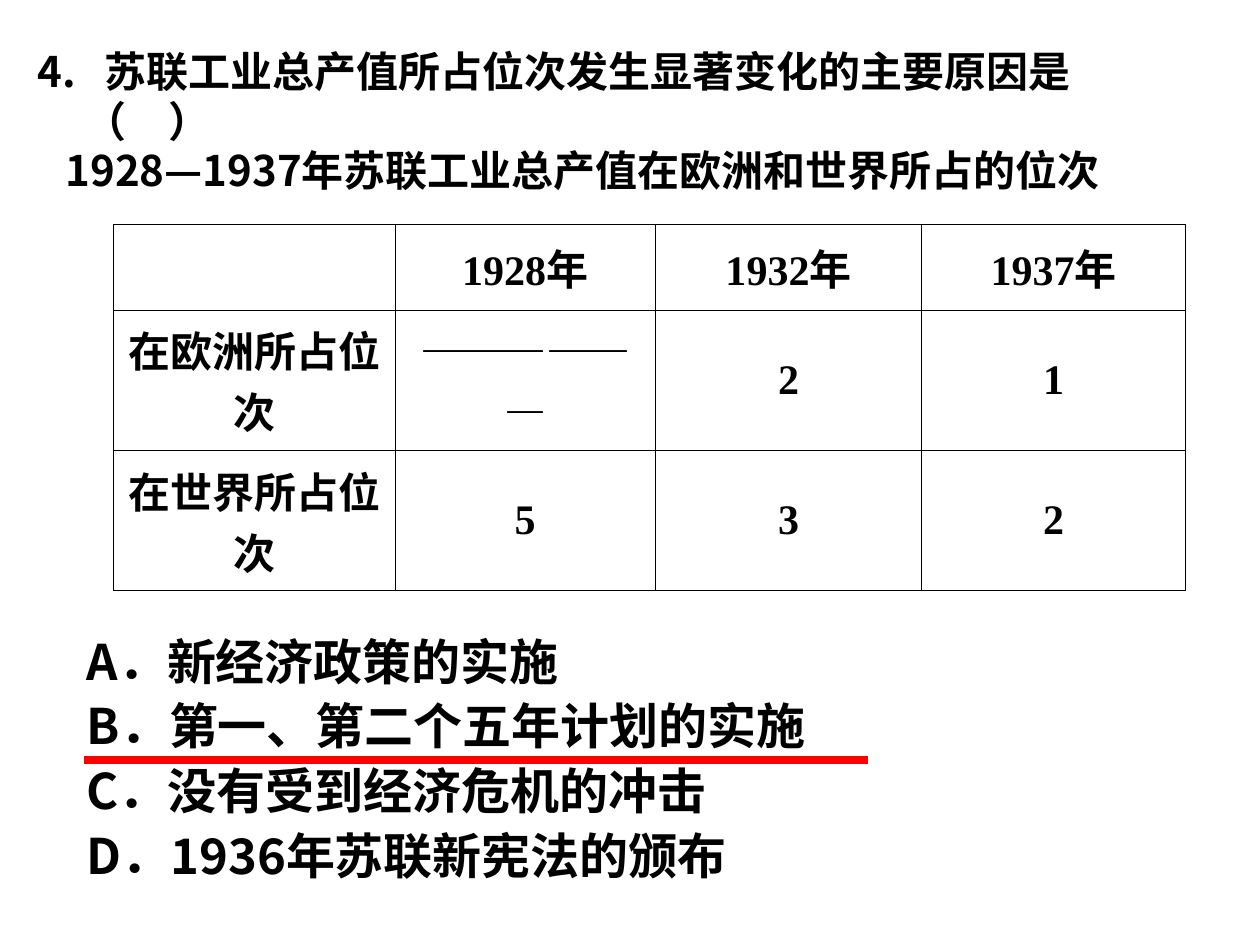
from dataclasses import dataclass

from lxml import etree
from pptx import Presentation
from pptx.dml.color import RGBColor
from pptx.enum.shapes import MSO_CONNECTOR
from pptx.enum.text import MSO_ANCHOR, PP_ALIGN
from pptx.oxml.ns import qn
from pptx.util import Pt

STRAIGHT = MSO_CONNECTOR.STRAIGHT
TOP, MIDDLE = MSO_ANCHOR.TOP, MSO_ANCHOR.MIDDLE
LEFT, CENTER = PP_ALIGN.LEFT, PP_ALIGN.CENTER


@dataclass(frozen=True)
class Theme:
    ink: RGBColor = RGBColor(0, 0, 0)
    answer: RGBColor = RGBColor(255, 0, 0)
    body_size: float = 24
    option_size: float = 28
    sans: str = "Noto Sans CJK SC"
    serif: str = "Times New Roman"


THEME = Theme()


def write(paragraph, text, size=THEME.body_size, font=THEME.sans, align=LEFT,
          pitch=None, indent=0, hanging=0):
    """Fill a paragraph; pitch is the exact line height in points."""
    paragraph.alignment = align
    if pitch:
        paragraph.line_spacing = Pt(pitch)
    if indent:
        properties = paragraph._p.get_or_add_pPr()
        properties.set("marL", str(Pt(indent)))
        properties.set("indent", str(Pt(-hanging)))
    run = paragraph.add_run()
    run.text = text
    run.font.size = Pt(size)
    run.font.bold = True
    run.font.name = font
    run.font.color.rgb = THEME.ink
    east_asian = etree.SubElement(run._r.get_or_add_rPr(), qn("a:ea"))
    east_asian.set("typeface", THEME.sans)


def add_frame(left, top, width, height):
    frame = slide.shapes.add_textbox(Pt(left), Pt(top), Pt(width), Pt(height)).text_frame
    frame.word_wrap = True
    frame.vertical_anchor = TOP
    return frame


prs = Presentation()
prs.slide_width, prs.slide_height = Pt(720), Pt(540)
slide = prs.slides.add_slide(prs.slide_layouts[6])

# Question and table caption
question = add_frame(14.4, 23, 663, 93.6)
question_lines = [
    ("4.\t苏联工业总产值所占位次发生显著变化的主要原因是", 38, 38),
    ("（　）", 27, 0),
    ("1928—1937年苏联工业总产值在欧洲和世界所占的位次", 16, 0),
]
for i, (text, indent, hanging) in enumerate(question_lines):
    paragraph = question.add_paragraph() if i else question.paragraphs[0]
    write(paragraph, text, pitch=28.3, indent=indent, hanging=hanging)

# Ranking table
rankings = [
    ["", "1928年", "1932年", "1937年"],
    ["在欧洲所占位次", "――――――", "2", "1"],
    ["在世界所占位次", "5", "3", "2"],
]
column_widths = [160.6, 149, 152, 151]
row_heights = [49, 80.3, 80.3]
last_row, last_column = len(row_heights) - 1, len(column_widths) - 1
table = slide.shapes.add_table(
    len(row_heights), len(column_widths), Pt(65), Pt(128),
    Pt(sum(column_widths)), Pt(sum(row_heights))).table
table.first_row = table.horz_banding = False
for column, width in zip(table.columns, column_widths):
    column.width = Pt(width)
for row, height in zip(table.rows, row_heights):
    row.height = Pt(height)

for r, values in enumerate(rankings):
    for c, value in enumerate(values):
        cell = table.cell(r, c)
        cell.vertical_anchor = MIDDLE
        if value:
            font = THEME.sans if value.startswith("―") else THEME.serif
            write(cell.text_frame.paragraphs[0], value, font=font, align=CENTER)
        outer_edges = {"lnL": c == 0, "lnR": c == last_column,
                       "lnT": r == 0, "lnB": r == last_row}
        for edge, is_outer in outer_edges.items():
            border = etree.SubElement(cell._tc.get_or_add_tcPr(), qn(f"a:{edge}"))
            border.set("w", str(Pt(0.45 if is_outer else 0.06)))
            fill = etree.SubElement(border, qn("a:solidFill"))
            etree.SubElement(fill, qn("a:srgbClr")).set("val", str(THEME.ink))
        cell.fill.background()

# Answer options
options = add_frame(42.5, 354, 646.6, 155)
option_texts = [
    "A．新经济政策的实施",
    "B．第一、第二个五年计划的实施",
    "C．没有受到经济危机的冲击",
    "D．1936年苏联新宪法的颁布",
]
for i, text in enumerate(option_texts):
    paragraph = options.add_paragraph() if i else options.paragraphs[0]
    write(paragraph, text, size=THEME.option_size, pitch=36.9)

# Underline of the correct answer
underline = slide.shapes.add_connector(STRAIGHT, Pt(48.2), Pt(434.2), Pt(496), Pt(434.2))
underline.line.color.rgb = THEME.answer
underline.line.width = Pt(4.5)
etree.SubElement(underline._element.spPr, qn("a:effectLst"))

prs.save("out.pptx")
